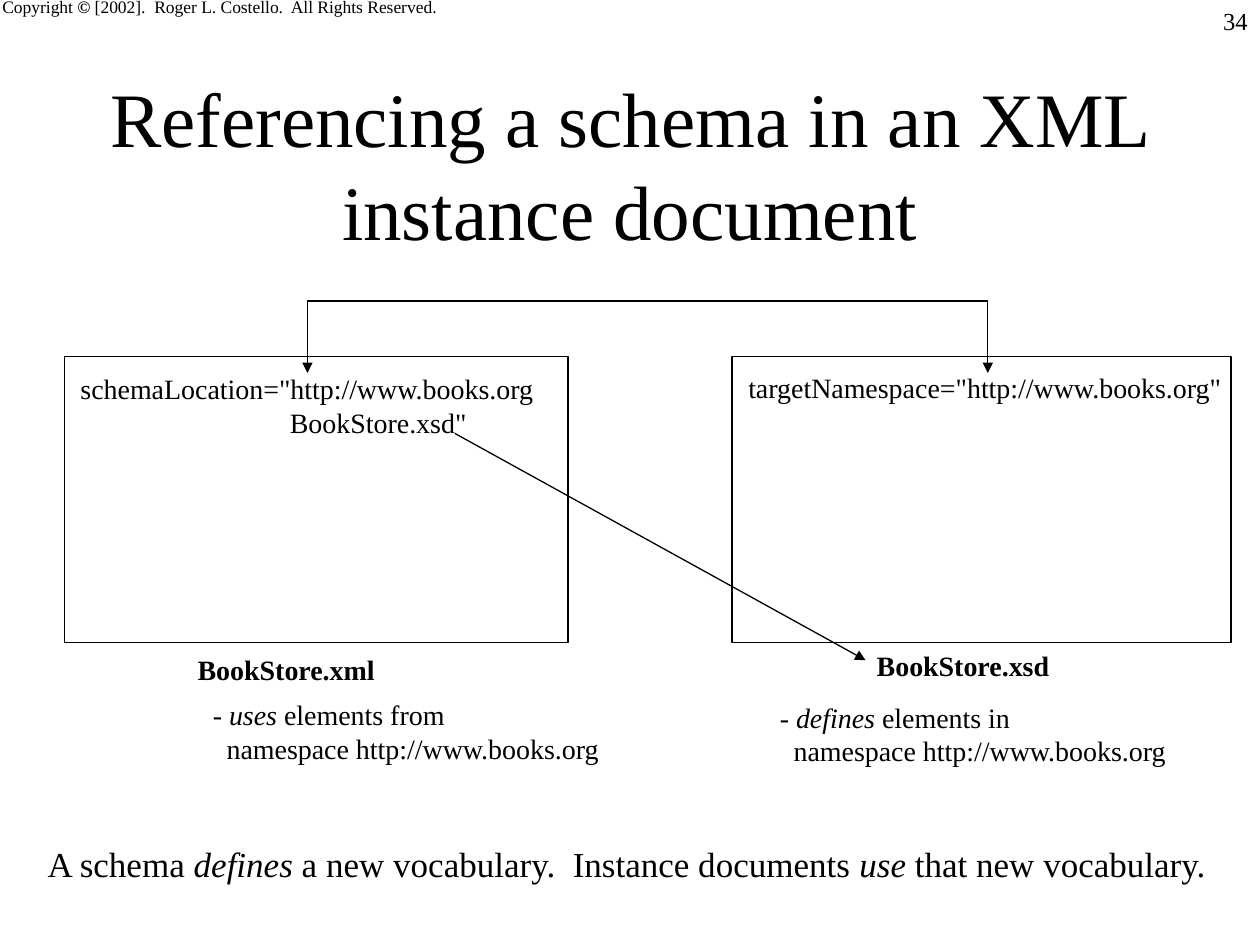
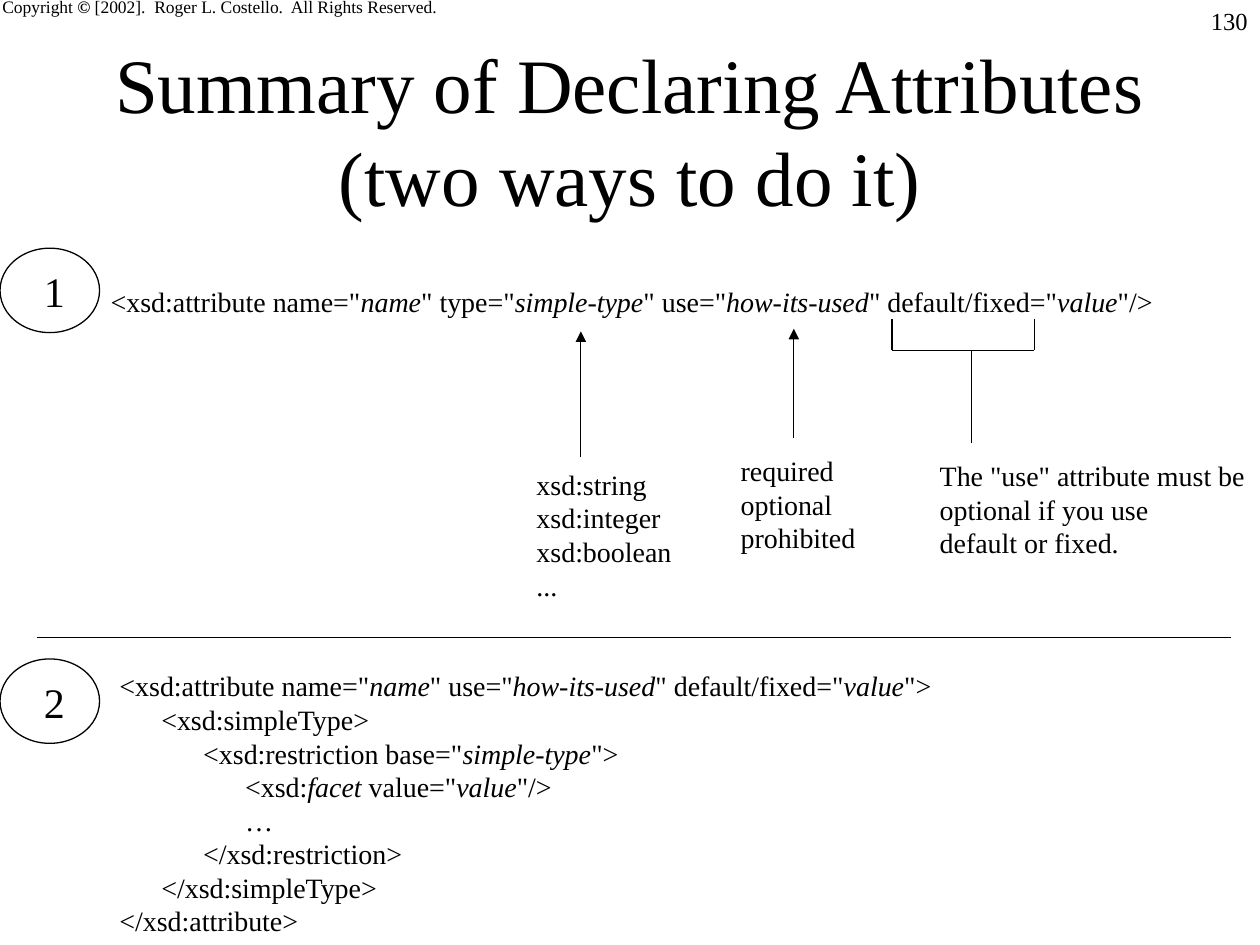
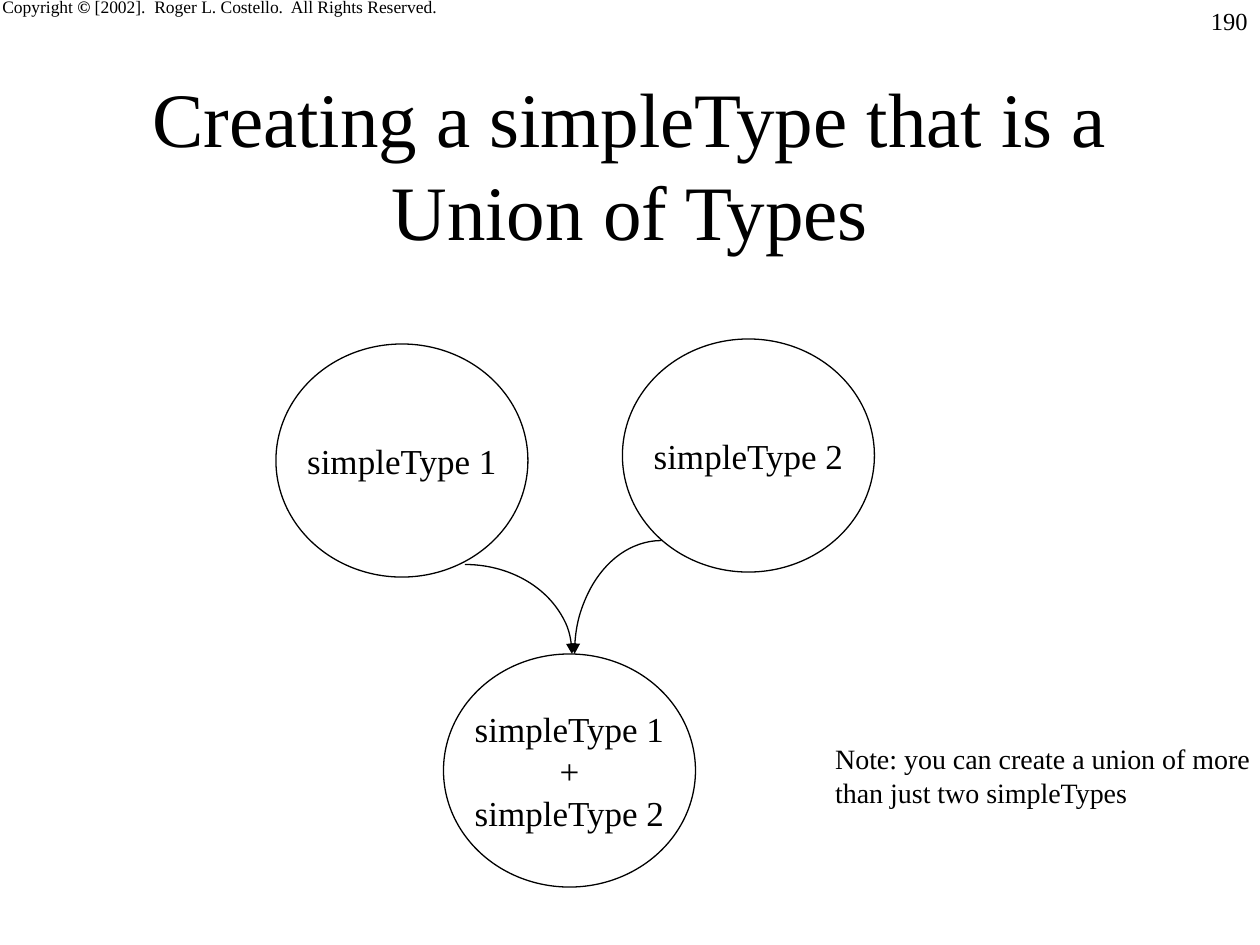
from dataclasses import dataclass

from lxml.etree import SubElement
from pptx import Presentation
from pptx.dml.color import RGBColor
from pptx.enum.shapes import MSO_CONNECTOR, MSO_SHAPE
from pptx.enum.text import MSO_ANCHOR, MSO_AUTO_SIZE, PP_ALIGN
from pptx.oxml.ns import qn
from pptx.util import Inches, Pt


@dataclass(frozen=True)
class Theme:
    font: str = "Times New Roman"
    ink: RGBColor = RGBColor(0, 0, 0)
    paper: RGBColor = RGBColor(255, 255, 255)
    line_width: float = 0.75
    title: int = 44
    badge: int = 24
    statement: int = 20
    body: int = 16
    page_number: int = 14
    copyright: int = 10


THEME = Theme()
COPYRIGHT = "Copyright *©* [2002].  Roger L. Costello.  All Rights Reserved."


def apply(target, values):
    for name, value in values.items():
        setattr(target, name, value)


class SlideBuilder:
    def __init__(self, deck, theme):
        self.deck = deck
        self.theme = theme
        self.page = None

    def start_page(self, number, title, title_top=0.67):
        self.page = self.deck.slides.add_slide(self.deck.slide_layouts[6])
        self.text(COPYRIGHT, -0.08, -0.25, 3.65, 0.43, self.theme.copyright,
                  emphasis="bold", frame={"margin_top": Inches(0.22)})
        self.text(str(number), 7.92, 0, 2.08, 0.5, self.theme.page_number,
                  align=PP_ALIGN.RIGHT, frame={"word_wrap": True})
        self.text(title, 0.75, title_top, 8.5, 1.25, self.theme.title,
                  align=PP_ALIGN.CENTER,
                  frame={"word_wrap": True, "vertical_anchor": MSO_ANCHOR.MIDDLE})

    def fill_frame(self, frame, text, size, align=PP_ALIGN.LEFT, emphasis="italic",
                   bold=False, later_indent=0):
        """Fill a frame line by line; asterisks enclose emphasised words."""
        for index, line in enumerate(text.split("\n")):
            para = frame.add_paragraph() if index else frame.paragraphs[0]
            para.alignment = align
            if index and later_indent:
                para._p.get_or_add_pPr().set("marL", str(Inches(later_indent)))
            for part, words in enumerate(line.split("*")):
                if not words:
                    continue
                span = para.add_run()
                span.text = words
                apply(span.font, {"name": self.theme.font, "size": Pt(size), "bold": bold})
                span.font.color.rgb = self.theme.ink
                if part % 2:
                    setattr(span.font, emphasis, True)

    def text(self, text, left, top, width, height, size=THEME.body, frame=None, **style):
        box = self.page.shapes.add_textbox(*map(Inches, (left, top, width, height)))
        settings = {"word_wrap": False, **(frame or {})}
        if not settings["word_wrap"]:
            settings["auto_size"] = MSO_AUTO_SIZE.SHAPE_TO_FIT_TEXT
        apply(box.text_frame, settings)
        self.fill_frame(box.text_frame, text, size, **style)

    def outline(self, shape):
        shape.line.color.rgb = self.theme.ink
        shape.line.width = Pt(self.theme.line_width)

    def arrowhead(self, shape, end):
        SubElement(shape.line._get_or_add_ln(), qn(f"a:{end}"), type="triangle")

    def shape(self, kind, left, top, width, height, text=""):
        shape = self.page.shapes.add_shape(kind, *map(Inches, (left, top, width, height)))
        shape.shadow.inherit = False
        shape.fill.solid()
        shape.fill.fore_color.rgb = self.theme.paper
        self.outline(shape)
        if text:
            apply(shape.text_frame,
                  {"word_wrap": False, "vertical_anchor": MSO_ANCHOR.MIDDLE})
            self.fill_frame(shape.text_frame, text, self.theme.statement, PP_ALIGN.CENTER)
        return shape

    def badge(self, label, top):
        self.shape(MSO_SHAPE.OVAL, 0, top, 0.79, 0.67)
        self.text(label, 0.25, top + 0.09, 0.36, 0.5, self.theme.badge)

    def line(self, start, finish, arrow=False):
        line = self.page.shapes.add_connector(
            MSO_CONNECTOR.STRAIGHT, *map(Inches, (*start, *finish)))
        self.outline(line)
        SubElement(line._element.spPr, qn("a:effectLst"))
        if arrow:
            self.arrowhead(line, "tailEnd")

    def arc(self, left, top, width, height, angles, arrow_end):
        """Draw part of an ellipse between two angles in degrees."""
        arc = self.shape(MSO_SHAPE.ARC, left, top, width, height)
        arc.fill.background()
        for index, angle in enumerate(angles):
            arc.adjustments[index] = angle * 0.6
        self.arrowhead(arc, arrow_end)


def build_referencing(builder):
    builder.start_page(34, "Referencing a schema in an XML instance document")
    for left, width in ((0.51, 4), (5.81, 3.96)):
        builder.shape(MSO_SHAPE.RECTANGLE, left, 2.83, width, 2.27)
    builder.text("BookStore.xml", 1.47, 5.13, 1.61, 0.37, bold=True)
    builder.text("BookStore.xsd", 6.86, 5.1, 1.57, 0.37, bold=True)
    builder.text('targetNamespace="http://www.books.org"', 5.84, 2.89, 3.98, 0.37)
    builder.text('schemaLocation="http://www.books.org\n'
                 '                              BookStore.xsd"', 0.54, 2.9, 3.81, 0.64)
    builder.line((3.61, 3.44), (6.87, 5.24), arrow=True)
    builder.line((2.44, 2.39), (7.84, 2.39))
    for x in (2.44, 7.84):
        builder.line((x, 2.39), (x, 2.96), arrow=True)
    for role, left, top in (("*defines* elements in", 6.09, 5.51),
                            ("*uses* elements from", 1.59, 5.49)):
        builder.text(f"- {role}\nnamespace http://www.books.org",
                     left, top, 3.28, 0.64, later_indent=0.11)
    builder.text("A schema *defines* a new vocabulary.  "
                 "Instance documents *use* that new vocabulary.",
                 0.28, 6.64, 9.44, 0.44, THEME.statement)


ATTRIBUTE_WITH_TYPE = (
    '<xsd:attribute name="*name*" type="*simple-type*" use="*how-its-used*" '
    'default/fixed="*value*"/>')
ATTRIBUTE_WITH_FACETS = """\
<xsd:attribute name="*name*" use="*how-its-used*" default/fixed="*value*">
      <xsd:simpleType>
            <xsd:restriction base="*simple-type*">
                  <xsd:*facet* value="*value*"/>
                  …
            </xsd:restriction>
      </xsd:simpleType>
</xsd:attribute>"""


def build_attributes(builder):
    builder.start_page(130, "Summary of Declaring Attributes (two ways to do it)", 0.4)
    builder.badge("1", 1.97)
    builder.text(ATTRIBUTE_WITH_TYPE, 0.78, 2.21, 8.47, 0.37)
    builder.line((4.61, 3.63), (4.61, 2.63), arrow=True)
    builder.text("xsd:string\nxsd:integer\nxsd:boolean\n...", 4.16, 3.66, 1.27, 1.17)
    builder.line((6.3, 3.48), (6.3, 2.61), arrow=True)
    builder.text("required\noptional\nprohibited", 5.78, 3.55, 1.11, 0.9)
    bracket_left, bracket_right, bracket_bottom = 7.08, 8.21, 2.78
    for x in (bracket_left, bracket_right):
        builder.line((x, 2.53), (x, bracket_bottom))
    builder.line((bracket_left, bracket_bottom), (bracket_right, bracket_bottom))
    builder.line((7.71, bracket_bottom), (7.71, 3.52))
    builder.text('The "use" attribute must be\noptional if you use\ndefault or fixed.',
                 7.36, 3.59, 2.62, 0.9)
    builder.line((0.29, 5.06), (9.77, 5.06))
    builder.badge("2", 5.23)
    builder.text(ATTRIBUTE_WITH_FACETS, 0.85, 5.26, 6.64, 2.24)


def build_union(builder):
    builder.start_page(190, "Creating a simpleType that is a Union of Types")
    for label, left, top in (("simpleType 1", 2.19, 2.73),
                             ("simpleType 2", 4.94, 2.69),
                             ("simpleType 1\n+\nsimpleType 2", 3.52, 5.19)):
        builder.shape(MSO_SHAPE.OVAL, left, top, 2, 1.85, label)
    builder.arc(2.84, 4.48, 1.7, 1.42, (270, 0), "tailEnd")
    builder.arc(4.56, 4.29, 1.38, 1.8, (180, 270), "headEnd")
    builder.text("Note: you can create a union of more\nthan just two simpleTypes",
                 6.53, 5.84, 3.49, 0.64)


def main():
    deck = Presentation()
    apply(deck, {"slide_width": Inches(10), "slide_height": Inches(7.5)})
    builder = SlideBuilder(deck, THEME)
    for build in (build_referencing, build_attributes, build_union):
        build(builder)
    deck.save("out.pptx")


if __name__ == "__main__":
    main()
